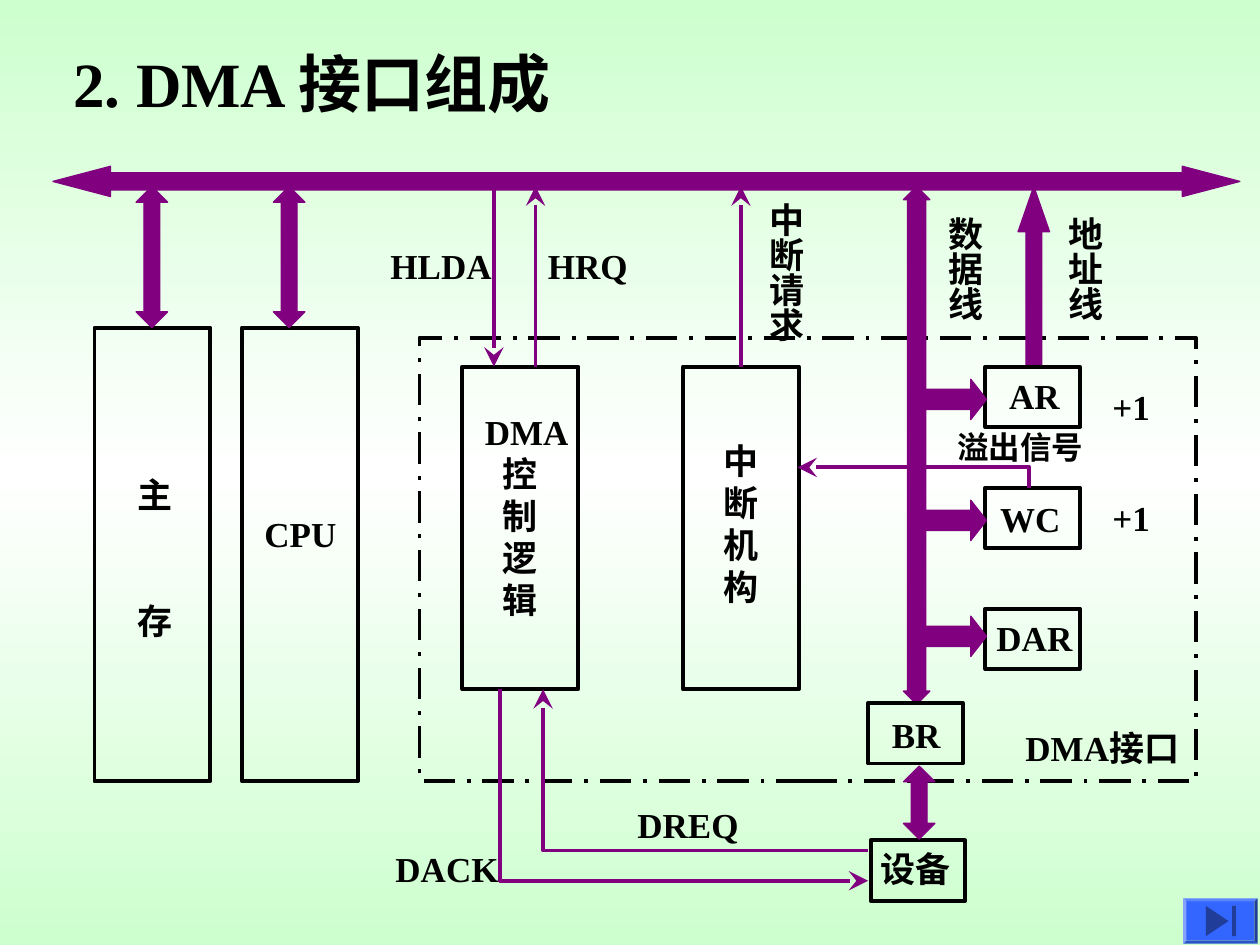
import copy
from dataclasses import dataclass

import pptx
import pptx.util
import pptx.dml.color
import pptx.enum.dml
import pptx.enum.shapes
import pptx.enum.text
import pptx.oxml.ns
from lxml import etree
from pptx.util import Inches

KIND = pptx.enum.shapes.MSO_SHAPE
FIT = pptx.enum.text.MSO_AUTO_SIZE.SHAPE_TO_FIT_TEXT
qn = pptx.oxml.ns.qn


@dataclass(frozen=True)
class Theme:
    """Colours, font and type sizes of the slide."""
    ink: str = "000000"
    flow: str = "800080"
    edge: str = "CDFFCE"
    mid: str = "FFFFFF"
    key: str = "3366FF"
    icon: str = "1F3D99"
    font: str = "Times New Roman"
    head: int = 36
    text: int = 20
    small: int = 18
    thick: float = 2.25
    thin: float = 0.75


@dataclass(frozen=True)
class Box:
    """A region in inches that places parts relative to its corner."""
    x: float
    y: float
    w: float = 0
    h: float = 0

    def sub(self, x, y, w=0, h=0):
        """Return a box placed inside this one."""
        return Box(self.x + x, self.y + y, w, h)

    def rect(self):
        """Return left, top, width and height as lengths."""
        return [Inches(round(v, 2)) for v in (self.x, self.y, self.w, self.h)]


THEME = Theme()


def tint(code):
    """Turn a hex code into a colour."""
    return pptx.dml.color.RGBColor.from_string(code)


def style(frame, size):
    """Format every run of a text frame."""
    for para in frame.paragraphs:
        para.alignment = pptx.enum.text.PP_ALIGN.LEFT
        for run in para.runs:
            run.font.name = THEME.font
            run.font.size = pptx.util.Pt(size)
            run.font.bold = True
            run.font.color.rgb = tint(THEME.ink)


def label(slide, box, text, size=THEME.text, tall=False):
    """Add a bold text box, optionally with vertical script."""
    frame = slide.shapes.add_textbox(*box.rect()).text_frame
    frame.word_wrap = False
    frame.auto_size = FIT
    frame.text = text
    if tall:
        frame.margin_left = frame.margin_right = Inches(0.05)
        frame.margin_top = frame.margin_bottom = Inches(0.1)
        frame._txBody.bodyPr.set("vert", "eaVert")
    style(frame, size)
    return frame


def frame_box(slide, box):
    """Add an unfilled box with a black outline."""
    shape = slide.shapes.add_shape(KIND.RECTANGLE, *box.rect())
    shape.shadow.inherit = False
    shape.fill.background()
    shape.line.color.rgb = tint(THEME.ink)
    shape.line.width = pptx.util.Pt(THEME.thick)
    return shape


def block(slide, kind, box, *bends):
    """Add a filled block arrow."""
    shape = slide.shapes.add_shape(kind, *box.rect())
    shape.shadow.inherit = False
    shape.fill.solid()
    shape.fill.fore_color.rgb = tint(THEME.flow)
    shape.line.color.rgb = tint(THEME.flow)
    shape.line.width = pptx.util.Pt(THEME.thin)
    for i, bend in enumerate(bends):
        shape.adjustments[i] = bend


def tip(shape):
    """Colour a signal line and give it an arrowhead at its end."""
    shape.line.color.rgb = tint(THEME.flow)
    shape.line.width = pptx.util.Pt(THEME.thick)
    line = shape.line._get_or_add_ln()
    etree.SubElement(line, qn("a:tailEnd"), type="stealth", w="lg", len="lg")


def wire(slide, start, end):
    """Add a straight signal arrow between two points."""
    ends = start.rect()[:2] + end.rect()[:2]
    line = slide.shapes.add_connector(pptx.enum.shapes.MSO_CONNECTOR.STRAIGHT, *ends)
    tip(line)
    etree.SubElement(line._element.spPr, qn("a:effectLst"))
    return line


def trace(slide, spots, close=False):
    """Add an outline through the given points."""
    first, *rest = [spot.rect()[:2] for spot in spots]
    pen = slide.shapes.build_freeform(*first)
    pen.add_line_segments(rest, close=close)
    shape = pen.convert_to_shape()
    shape.shadow.inherit = False
    return shape


def bent(slide, *spots):
    """Add a bent signal arrow through the given points."""
    shape = trace(slide, spots)
    shape.fill.background()
    tip(shape)


def backdrop(slide):
    """Fill the background with a three stop gradient."""
    fill = slide.background.fill
    fill.gradient()
    fill.gradient_angle = 90
    stops = slide.element.find(".//" + qn("a:gsLst"))
    stops.insert(1, copy.deepcopy(stops[0]))
    shades = (THEME.edge, THEME.mid, THEME.edge)
    for i, (stop, shade) in enumerate(zip(fill.gradient_stops, shades)):
        stop.position = i / 2
        stop.color.rgb = tint(shade)


def title(slide, box):
    """Place and format the slide title."""
    shape = slide.shapes.title
    shape.left, shape.top, shape.width, shape.height = box.rect()
    frame = shape.text_frame
    frame.text = "2. DMA 接口组成"
    frame.word_wrap = True
    frame.auto_size = FIT
    frame.vertical_anchor = pptx.enum.text.MSO_ANCHOR.TOP
    style(frame, THEME.head)


def host(slide, box):
    """Draw main memory and CPU with their bus links."""
    for x in (0, 1.17):
        frame_box(slide, box.sub(x, 1.12, 0.92, 3.6))
    for x in (0.33, 1.42):
        block(slide, KIND.UP_DOWN_ARROW, box.sub(x, 0, 0.25, 1.12), 0.9, 0.5)
    store = label(slide, box.sub(0.24, 2.23, 0.5, 1.44), "主\n存")
    store.paragraphs[1].space_before = pptx.util.Pt(48)
    label(slide, box.sub(1.25, 2.54, 0.8, 0.44), "CPU")


def logic(slide, box):
    """Draw the DMA control logic with its two bus signals."""
    frame_box(slide, box.sub(0, 1.43, 0.92, 2.56))
    text = label(slide, box.sub(0.08, 1.73, 0.94, 1.77), "DMA\n控\n制\n逻\n辑")
    for para in text.paragraphs[1:]:
        para._p.get_or_add_pPr().set("marL", str(Inches(0.14)))
    wire(slide, box.sub(0.25, 0), box.sub(0.25, 1.43))
    wire(slide, box.sub(0.58, 1.43), box.sub(0.58, 0))
    label(slide, box.sub(-0.67, 0.41, 1.08, 0.44), "HLDA")
    label(slide, box.sub(0.58, 0.41, 0.91, 0.44), "HRQ")


def trap(slide, box):
    """Draw the interrupt unit with its request line."""
    unit = frame_box(slide, box.sub(0, 1.43, 0.92, 2.56))
    text = label(slide, box.sub(0.08, 1.96, 0.64, 1.44), "中\n断\n机\n构")
    for para in text.paragraphs:
        para._p.get_or_add_pPr().set("marL", str(Inches(0.14)))
    line = wire(slide, box.sub(0.46, 1.43), box.sub(0.46, 0))
    line.begin_connect(unit, 0)
    label(slide, box.sub(0.5, 0.03, 0.53, 1.32), "中断请求", tall=True)


def banks(slide, box):
    """Draw the registers with the data and address lines."""
    block(slide, KIND.UP_DOWN_ARROW, box.sub(0.28, 0, 0.21, 4.11), 1.49, 0.69)
    block(slide, KIND.UP_ARROW, box.sub(1.19, 0, 0.25, 1.44), 0.5, 1.44)
    rows = (("AR", 1.02, 0.01, 0.65, 0.1), ("WC", 0.95, 0.03, 0.73, 0.1),
            ("DAR", 0.92, 0.01, 0.85, 0.06))
    for i, (name, x, drop, wide, gap) in enumerate(rows):
        row = box.sub(0, 1.43 + 0.96 * i)
        frame_box(slide, row.sub(0.93, 0, 0.75, 0.48))
        label(slide, row.sub(x, drop, wide, 0.44), name)
        block(slide, KIND.RIGHT_ARROW, row.sub(0.44, gap, 0.5, 0.32), 0.5, 0.39)
    for y in (1.53, 2.41):
        label(slide, box.sub(1.84, y, 0.54, 0.44), "+1")
    for x, name in ((0.45, "数据线"), (1.41, "地址线")):
        label(slide, box.sub(x, 0.14, 0.53, 1.04), name, tall=True)
    bent(slide, box.sub(1.28, 2.39), box.sub(1.28, 2.23), box.sub(-0.56, 2.23))
    label(slide, box.sub(0.61, 1.87, 1.25, 0.4), "溢出信号", THEME.small)
    frame_box(slide, box.sub(0, 4.1, 0.75, 0.48))
    label(slide, box.sub(0.09, 4.13, 0.66, 0.44), "BR")


def port(slide, box):
    """Draw the dashed DMA interface and the units inside it."""
    edge = frame_box(slide, box)
    edge.line.dash_style = pptx.enum.dml.MSO_LINE.LONG_DASH_DOT
    label(slide, box.sub(4.71, 3.04, 1.52, 0.44), "DMA接口")
    for draw, x in ((logic, 0.34), (trap, 2.09), (banks, 3.56)):
        draw(slide, box.sub(x, -1.2))


def device(slide, box):
    """Draw the device with its request and acknowledge lines."""
    frame_box(slide, box.sub(3.87, 1.2, 0.75, 0.48))
    label(slide, box.sub(3.85, 1.21, 0.83, 0.44), "设备")
    block(slide, KIND.UP_DOWN_ARROW, box.sub(4.13, 0.61, 0.25, 0.58), 0.47, 0.5)
    bent(slide, box.sub(3.85, 1.28), box.sub(1.27, 1.28), box.sub(1.27, 0))
    bent(slide, box.sub(0.93, 0), box.sub(0.93, 1.52), box.sub(3.85, 1.52))
    label(slide, box.sub(1.92, 0.86, 1.08, 0.44), "DREQ")
    label(slide, box.sub(0, 1.21, 1.08, 0.44), "DACK")


def button(slide, box):
    """Draw the bevelled button with its end sign."""
    base = slide.shapes.add_shape(KIND.BEVEL, *box.rect())
    base.adjustments[0] = 0.07
    play = trace(slide, [box.sub(0.36, 0.18), box.sub(0.18, 0.3), box.sub(0.18, 0.06)], True)
    bar = slide.shapes.add_shape(KIND.RECTANGLE, *box.sub(0.39, 0.06, 0.03, 0.24).rect())
    for shape, shade in ((base, THEME.key), (play, THEME.icon), (bar, THEME.icon)):
        shape.shadow.inherit = False
        shape.fill.solid()
        shape.fill.fore_color.rgb = tint(shade)
        shape.line.fill.background()


def main():
    """Build the slide and save it."""
    deck = pptx.Presentation()
    deck.slide_width, deck.slide_height = Inches(10), Inches(7.5)
    slide = deck.slides.add_slide(deck.slide_layouts[5])
    backdrop(slide)
    title(slide, Box(0.48, 0.3, 4.52, 0.7))
    block(slide, KIND.LEFT_RIGHT_ARROW, Box(0.42, 1.32, 9.42, 0.24), 0.57, 1.9)
    host(slide, Box(0.75, 1.48, 2.09, 4.72))
    port(slide, Box(3.33, 2.68, 6.16, 3.52))
    device(slide, Box(3.04, 5.47, 4.62, 1.68))
    button(slide, Box(9.39, 7.13, 0.59, 0.36))
    deck.save("out.pptx")


if __name__ == "__main__":
    main()
